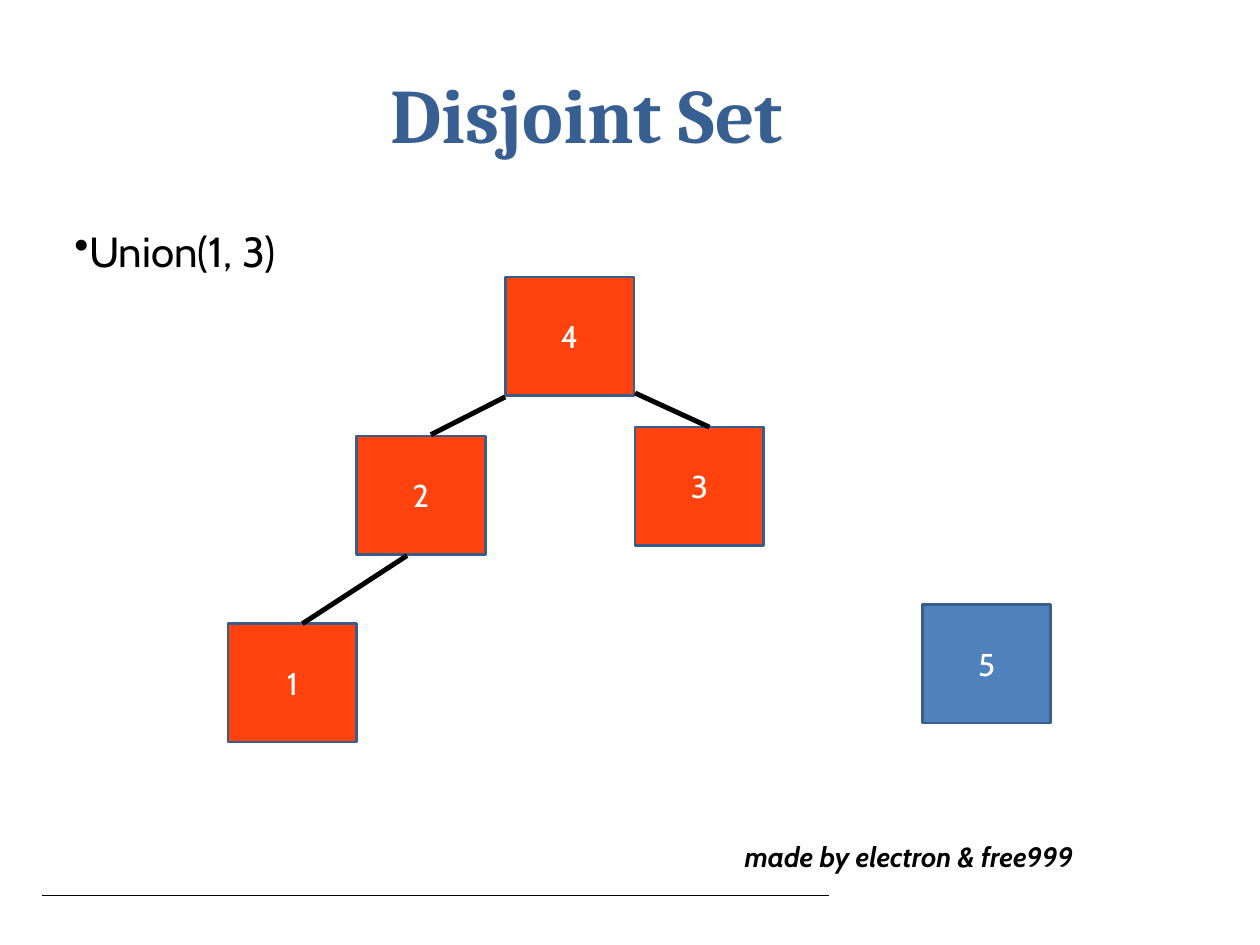
from pptx import Presentation
from pptx.dml.color import RGBColor
from pptx.enum.shapes import MSO_CONNECTOR, MSO_SHAPE
from pptx.enum.text import MSO_ANCHOR, PP_ALIGN
from pptx.oxml.ns import qn
from pptx.util import Pt
from lxml.etree import SubElement

NODE = (73.5, 67.7)
NODES = {
    "1": (130.3, 356.4, "FF420E"),
    "3": (362.9, 244.1, "FF420E"),
    "2": (203.8, 249.1, "FF420E"),
    "4": (288.7, 158.4, "FF420E"),
    "5": (527, 345.6, "4F81BC"),
}
EDGES = [
    (172.8, 356.4, 232.6, 317.5),
    (405.4, 244.1, 362.9, 224.6),
    (246.2, 248.4, 288.7, 226.8),
]


def color(code):
    """Turn a hex string into a colour."""
    return RGBColor.from_string(code)


def place(shape, box):
    """Move a shape to a box given in points."""
    shape.left, shape.top, shape.width, shape.height = map(Pt, box)


def write(shape, text, size=18, font="Cabin", ink="000000", bold=False,
          italic=False, align=PP_ALIGN.LEFT, anchor=MSO_ANCHOR.TOP,
          wrap=True, space=None, bullet=None):
    """Put one formatted paragraph into a shape."""
    frame = shape.text_frame
    frame.word_wrap = wrap
    frame.vertical_anchor = anchor
    frame.margin_left = frame.margin_right = 0
    frame.margin_top = frame.margin_bottom = 0
    frame.text = text
    para = frame.paragraphs[0]
    para.alignment = align
    if space:
        para.line_spacing = Pt(space)
    if bullet:
        SubElement(para._p.get_or_add_pPr(), qn("a:buChar")).set("char", bullet)
    style = para.font
    style.name, style.size = font, Pt(size)
    style.bold, style.italic = bold, italic
    style.color.rgb = color(ink)


def add_text(slide, box, text, **form):
    """Add a text box."""
    write(slide.shapes.add_textbox(*map(Pt, box)), text, **form)


def add_line(slide, ends, width):
    """Draw a plain black line between two points."""
    line = slide.shapes.add_connector(MSO_CONNECTOR.STRAIGHT, *map(Pt, ends))
    line.line.color.rgb = color("000000")
    line.line.width = Pt(width)
    SubElement(line._element.spPr, qn("a:effectLst"))


def add_node(slide, box, label, fill):
    """Draw one labelled set member."""
    node = slide.shapes.add_shape(MSO_SHAPE.RECTANGLE, *map(Pt, box))
    node.shadow.inherit = False
    node.fill.solid()
    node.fill.fore_color.rgb = color(fill)
    node.line.color.rgb = color("385D89")
    node.line.width = Pt(1.5)
    write(node, label, ink="FFFFFF", align=PP_ALIGN.CENTER,
          anchor=MSO_ANCHOR.MIDDLE)


def add_head(slide, box):
    """Fill and place the title."""
    title = slide.shapes.title
    place(title, box)
    write(title, "Disjoint Set", size=44, font="Cambria", ink="375F92",
          bold=True, wrap=False)


def add_tree(slide, left, top):
    """Draw the nodes and edges from a starting corner."""
    for label, (x, y, fill) in NODES.items():
        add_node(slide, (left + x, top + y, *NODE), label, fill)
    for x1, y1, x2, y2 in EDGES:
        add_line(slide, (left + x1, top + y1, left + x2, top + y2), 2.83)


def add_foot(slide, left, top, width):
    """Draw the bottom rule and the credit line."""
    add_line(slide, (left, top, left + width, top), 0.5)
    add_text(slide, (left + 401.7, top - 18.7, 227, 47),
             "made by electron & free999", size=16, bold=True, italic=True,
             space=5.7, wrap=False)


def main():
    """Build and save the slide."""
    deck = Presentation()
    deck.slide_width, deck.slide_height = Pt(720), Pt(540)
    slide = deck.slides.add_slide(deck.slide_layouts[5])
    add_head(slide, (223.2, 38, 273.6, 91))
    add_foot(slide, 23.8, 511.9, 450)
    add_text(slide, (42.5, 129, 196, 58), "Union(1, 3)", size=24, bullet="•")
    add_tree(slide, 0, 0)
    deck.save("out.pptx")


if __name__ == "__main__":
    main()
